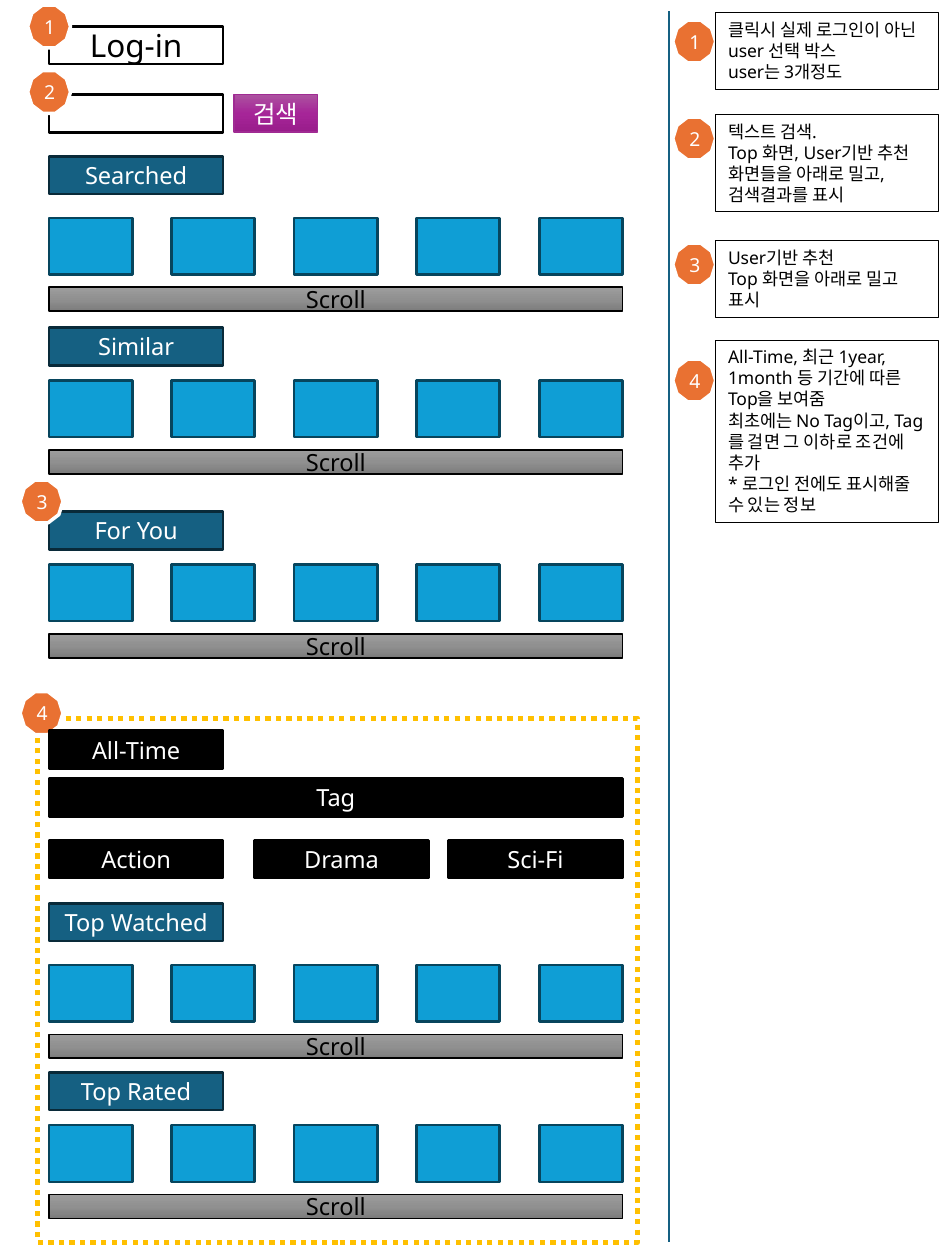
import copy
import pptx
import pptx.dml.color
import pptx.enum.dml
import pptx.enum.shapes
import pptx.enum.text
import pptx.oxml.ns
import pptx.util

Inches = pptx.util.Inches
Shapes = pptx.enum.shapes.MSO_SHAPE
Align = pptx.enum.text.PP_ALIGN
Anchor = pptx.enum.text.MSO_ANCHOR

THEME = {
    "font": "Noto Sans",
    "heading": {"fill": "156082", "line": "092A39", "weight": 1.5, "size": 13.5, "ink": "FFFFFF"},
    "tile": {"fill": "0F9ED5", "line": "07455D", "weight": 1.5},
    "scroll": {"fill": ("9D9D9D", "909090", "7C7C7C"), "line": "000000", "weight": 1, "size": 13.5, "ink": "000000"},
    "field": {"fill": "FFFFFF", "line": "000000", "weight": 1.5, "size": 18, "ink": "000000"},
    "search": {"fill": ("AC53A0", "A62598", "991C8B"), "line": "A02B93", "weight": 1, "size": 14, "ink": "FFFFFF"},
    "filter": {"fill": "000000", "line": "000000", "weight": 1.5, "size": 13.5, "ink": "FFFFFF"},
    "badge": {"fill": "E97132", "line": "FFFFFF", "weight": 2, "size": 11, "ink": "FFFFFF"},
    "note": {"fill": None, "line": "000000", "weight": 0.75, "size": 10, "ink": "000000"},
    "frame": {"fill": None, "line": "FFC000", "weight": 3},
    "divider": {"line": "156082", "weight": 1.5},
}

LEFT, FULL_WIDTH, BUTTON_WIDTH, ROW_HEIGHT = 0.39, 4.55, 1.38, 0.3
TILE_COUNT, TILE_WIDTH, TILE_HEIGHT = 5, 0.66, 0.45
SCROLL_OFFSET, SCROLL_HEIGHT = 0.55, 0.19
BADGE_SIZE = 0.34
NOTE_LEFT, NOTE_WIDTH = 5.68, 1.77

SECTIONS = [
    ("Searched", 1.24, 1.73),
    ("Similar", 2.6, 3.02),
    ("For You", 4.06, 4.48),
    ("Top Watched", 7.17, 7.66),
    ("Top Rated", 8.51, 8.93),
]
FIELDS = [("Log-in", 0.21), ("", 0.75)]
GENRES = [("Action", LEFT), ("Drama", 2.02), ("Sci-Fi", 3.56)]
SCREEN_BADGES = [("1", 0.22, 0.04), ("2", 0.22, 0.56), ("3", 0.16, 3.81), ("4", 0.16, 5.49)]
NOTES = [
    ("1", 0.16, 0.1, 0.61, ["클릭시 실제 로그인이 아닌 user 선택 박스", "user는 3개정도"]),
    ("2", 0.93, 0.91, 0.77, ["텍스트 검색.", "Top 화면, User기반 추천 화면들을 아래로 밀고, 검색결과를 표시"]),
    ("3", 1.93, 1.91, 0.61, ["User기반 추천", "Top 화면을 아래로 밀고 표시"]),
    ("4", 2.85, 2.7, 1.45, [
        "All-Time, 최근 1year, 1month 등 기간에 따른 Top을 보여줌",
        "최초에는 No Tag이고, Tag를 걸면 그 이하로 조건에 추가",
        "* 로그인 전에도 표시해줄 수 있는 정보",
    ]),
]


def rgb(value):
    return pptx.dml.color.RGBColor.from_string(value)


def paint_gradient(shape, colors):
    fill = shape.fill
    fill.gradient()
    fill.gradient_angle = 270
    stop_list = shape._element.spPr.find(".//" + pptx.oxml.ns.qn("a:gsLst"))
    stop_list.insert(1, copy.deepcopy(stop_list[0]))
    for index, (stop, color) in enumerate(zip(fill.gradient_stops, colors)):
        stop.color.rgb = rgb(color)
        stop.position = index / (len(colors) - 1)


def write(shape, lines, style, align, anchor):
    frame = shape.text_frame
    frame.word_wrap = True
    frame.vertical_anchor = anchor
    frame.text = "\n".join(lines)
    for para in frame.paragraphs:
        para.alignment = align
        for span in para.runs:
            span.font.name = THEME["font"]
            span.font.size = pptx.util.Pt(style["size"])
            span.font.color.rgb = rgb(style["ink"])


def add_box(page, role, left, top, width, height, text="", preset=Shapes.RECTANGLE):
    style = THEME[role]
    shape = page.shapes.add_shape(preset, Inches(left), Inches(top), Inches(width), Inches(height))
    shape.shadow.inherit = False
    if style["fill"] is None:
        shape.fill.background()
    elif isinstance(style["fill"], tuple):
        paint_gradient(shape, style["fill"])
    else:
        shape.fill.solid()
        shape.fill.fore_color.rgb = rgb(style["fill"])
    shape.line.color.rgb = rgb(style["line"])
    shape.line.width = pptx.util.Pt(style["weight"])
    if text:
        write(shape, [text], style, Align.CENTER, Anchor.MIDDLE)
    return shape


def add_badge(page, number, left, top):
    add_box(page, "badge", left, top, BADGE_SIZE, BADGE_SIZE, number, Shapes.DECAGON)


def add_section(page, title, title_top, tiles_top):
    add_box(page, "heading", LEFT, title_top, BUTTON_WIDTH, ROW_HEIGHT, title)
    step = (FULL_WIDTH - TILE_WIDTH) / (TILE_COUNT - 1)
    for column in range(TILE_COUNT):
        add_box(page, "tile", LEFT + column * step, tiles_top, TILE_WIDTH, TILE_HEIGHT)
    add_box(page, "scroll", LEFT, tiles_top + SCROLL_OFFSET, FULL_WIDTH, SCROLL_HEIGHT, "Scroll")


def add_note(page, number, badge_top, top, height, lines):
    add_badge(page, number, NOTE_LEFT - BADGE_SIZE, badge_top)
    note = add_box(page, "note", NOTE_LEFT, top, NOTE_WIDTH, height)
    write(note, lines, THEME["note"], Align.LEFT, Anchor.TOP)
    note.text_frame.auto_size = pptx.enum.text.MSO_AUTO_SIZE.SHAPE_TO_FIT_TEXT


def add_divider(page):
    style = THEME["divider"]
    line = page.shapes.add_connector(
        pptx.enum.shapes.MSO_CONNECTOR.STRAIGHT, Inches(5.31), Inches(0.09), Inches(5.31), Inches(9.86))
    line.line.color.rgb = rgb(style["line"])
    line.line.width = pptx.util.Pt(style["weight"])
    line._element.spPr.append(pptx.oxml.parse_xml(
        "<a:effectLst %s/>" % pptx.oxml.ns.nsdecls("a")))


def main():
    deck = pptx.Presentation()
    deck.slide_width, deck.slide_height = Inches(7.5), Inches(10)
    page = deck.slides.add_slide(deck.slide_layouts[6])
    for section in SECTIONS:
        add_section(page, *section)
    add_divider(page)
    for text, top in FIELDS:
        add_box(page, "field", LEFT, top, BUTTON_WIDTH, ROW_HEIGHT, text)
    add_box(page, "search", 1.86, 0.75, 0.66, ROW_HEIGHT, "검색")
    add_box(page, "filter", LEFT, 6.18, FULL_WIDTH, ROW_HEIGHT, "Tag")
    for genre, left in GENRES:
        add_box(page, "filter", left, 6.67, BUTTON_WIDTH, ROW_HEIGHT, genre)
    frame = add_box(page, "frame", 0.3, 5.7, 4.76, 4.16)
    frame.line.dash_style = pptx.enum.dml.MSO_LINE.ROUND_DOT
    for badge in SCREEN_BADGES:
        add_badge(page, *badge)
    add_box(page, "filter", LEFT, 5.8, BUTTON_WIDTH, ROW_HEIGHT, "All-Time")
    for note in NOTES:
        add_note(page, *note)
    deck.save("out.pptx")


if __name__ == "__main__":
    main()
